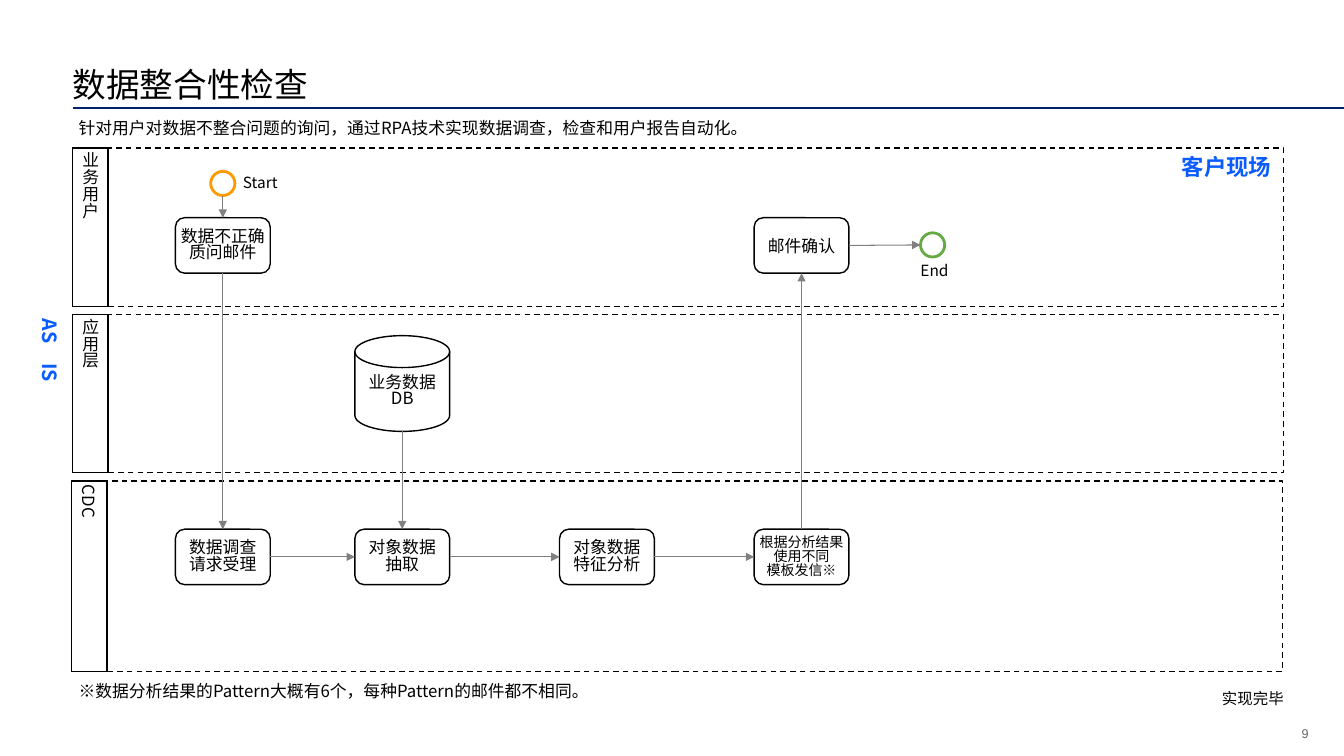
from dataclasses import dataclass

from lxml.etree import SubElement
from pptx import Presentation
from pptx.dml.color import RGBColor
from pptx.enum.dml import MSO_LINE
from pptx.enum.shapes import MSO_CONNECTOR, MSO_SHAPE
from pptx.enum.text import MSO_ANCHOR, PP_ALIGN
from pptx.oxml.ns import qn
from pptx.shapes.autoshape import Shape
from pptx.slide import Slide
from pptx.text.text import TextFrame
from pptx.util import Inches, Pt

BLACK = RGBColor(0x00, 0x00, 0x00)
WHITE = RGBColor(0xFF, 0xFF, 0xFF)
NAVY = RGBColor(0x00, 0x22, 0x66)
BLUE = RGBColor(0x0A, 0x5C, 0xFF)
GRAY = RGBColor(0x80, 0x80, 0x80)
PAGE_GRAY = RGBColor(0x66, 0x66, 0x66)
ORANGE = RGBColor(0xFF, 0x99, 0x00)
GREEN = RGBColor(0x66, 0xAA, 0x44)

FONT_SC = "Noto Sans CJK SC"
FONT_JP = "Noto Sans CJK JP"
LANE_WIDTH, LABEL_WIDTH = 12.01, 0.35
STEP_WIDTH, STEP_HEIGHT = 0.94, 0.55
USER_ROW, CDC_ROW = 2.16, 5.25
SHAPE_INSETS = (0.08, 0.04, 0.08, 0.04)
NOTE_INSETS = (0.08, 0.05, 0.08, 0.05)

Point = tuple[float, float]


@dataclass(frozen=True)
class Style:
    size: float = 12
    color: RGBColor = BLACK
    bold: bool = False
    font: str = FONT_SC
    align: PP_ALIGN = PP_ALIGN.CENTER
    indent: float = 0


@dataclass(frozen=True)
class Lane:
    label: str
    left: float
    top: float
    height: float


@dataclass(frozen=True)
class Node:
    left: float
    top: float
    text: str = ""
    kind: MSO_SHAPE = MSO_SHAPE.ROUNDED_RECTANGLE
    width: float = STEP_WIDTH
    height: float = STEP_HEIGHT
    style: Style = Style()
    line_color: RGBColor = BLACK
    line_width: float = 1

    @property
    def top_mid(self) -> Point:
        return self.left + self.width / 2, self.top

    @property
    def bottom_mid(self) -> Point:
        return self.left + self.width / 2, self.top + self.height

    @property
    def left_mid(self) -> Point:
        return self.left, self.top + self.height / 2

    @property
    def right_mid(self) -> Point:
        return self.left + self.width, self.top + self.height / 2


@dataclass(frozen=True)
class Note:
    text: str
    left: float
    top: float
    width: float
    height: float
    style: Style
    anchor: MSO_ANCHOR = MSO_ANCHOR.TOP
    insets: tuple[float, float, float, float] = NOTE_INSETS


def write(frame: TextFrame, text: str, style: Style, anchor: MSO_ANCHOR,
          insets: tuple[float, float, float, float], wrap: bool) -> None:
    frame.word_wrap = wrap
    frame.vertical_anchor = anchor
    (frame.margin_left, frame.margin_top,
     frame.margin_right, frame.margin_bottom) = map(Inches, insets)
    frame.text = text
    for paragraph in frame.paragraphs:
        paragraph.alignment = style.align
        if len(frame.paragraphs) > 1:
            paragraph.line_spacing = 0.83
        font = paragraph.font
        font.size = Pt(style.size)
        font.bold = style.bold
        font.color.rgb = style.color
        font.name = style.font
        properties = paragraph._p.get_or_add_pPr()
        if style.indent:
            properties.set("marL", str(Inches(style.indent)))
            properties.set("indent", "0")
        # East Asian characters take their own typeface entry
        SubElement(properties.find(qn("a:defRPr")), qn("a:ea"), typeface=style.font)


def add_node(slide: Slide, node: Node) -> Shape:
    shape = slide.shapes.add_shape(
        node.kind, *map(Inches, (node.left, node.top, node.width, node.height)))
    shape.shadow.inherit = False
    shape.fill.solid()
    shape.fill.fore_color.rgb = WHITE
    if node.line_width:
        shape.line.color.rgb = node.line_color
        shape.line.width = Pt(node.line_width)
    else:
        shape.line.fill.background()
    if node.text:
        write(shape.text_frame, node.text, node.style, MSO_ANCHOR.MIDDLE, SHAPE_INSETS, False)
    return shape


def add_vertical_label(slide: Slide, node: Node) -> None:
    label = add_node(slide, node)
    label.text_frame._txBody.bodyPr.set("vert", "eaVert")


def add_lane(slide: Slide, lane: Lane) -> None:
    area = add_node(slide, Node(lane.left, lane.top, kind=MSO_SHAPE.RECTANGLE,
                                width=LANE_WIDTH, height=lane.height))
    area.line.dash_style = MSO_LINE.DASH
    add_vertical_label(slide, Node(lane.left, lane.top, lane.label, MSO_SHAPE.RECTANGLE,
                                   LABEL_WIDTH, lane.height))


def add_line(slide: Slide, start: Point, end: Point, color: RGBColor = GRAY,
             width: float = 0.75, arrow: bool = True) -> None:
    line = slide.shapes.add_connector(MSO_CONNECTOR.STRAIGHT, *map(Inches, start + end))
    line.line.color.rgb = color
    line.line.width = Pt(width)
    if arrow:
        SubElement(line.line._get_or_add_ln(), qn("a:tailEnd"), type="triangle")
    SubElement(line._element.spPr, qn("a:effectLst"))


def add_note(slide: Slide, note: Note) -> None:
    box = slide.shapes.add_textbox(
        *map(Inches, (note.left, note.top, note.width, note.height)))
    write(box.text_frame, note.text, note.style, note.anchor, note.insets, True)


LANES = [
    Lane("业务用户", 0.72, 1.47, 1.57),
    Lane("应用层", 0.72, 3.12, 1.57),
    Lane("CDC", 0.71, 4.77, 1.89),
]

start = Node(2.09, 1.7, "", MSO_SHAPE.OVAL, 0.24, 0.24, line_color=ORANGE, line_width=2)
end = Node(9.13, 2.31, "", MSO_SHAPE.OVAL, 0.24, 0.24, line_color=GREEN, line_width=2)
inquiry = Node(1.74, USER_ROW, "数据不正确\n质问邮件")
confirmation = Node(7.48, USER_ROW, "邮件确认")
database = Node(3.52, 3.33, "业务数据\nDB", MSO_SHAPE.FLOWCHART_MAGNETIC_DISK,
                height=0.95, style=Style(font=FONT_JP))
acceptance = Node(1.74, CDC_ROW, "数据调查\n请求受理")
extraction = Node(3.52, CDC_ROW, "对象数据\n抽取")
analysis = Node(5.55, CDC_ROW, "对象数据\n特征分析")
reply = Node(7.48, CDC_ROW, "根据分析结果\n使用不同\n模板发信※", style=Style(size=10))

NODES = [start, end, inquiry, confirmation, database, acceptance, extraction, analysis, reply]
FLOWS = [
    (start.bottom_mid, inquiry.top_mid),
    (inquiry.bottom_mid, acceptance.top_mid),
    (acceptance.right_mid, extraction.left_mid),
    (database.bottom_mid, extraction.top_mid),
    (extraction.right_mid, analysis.left_mid),
    (analysis.right_mid, reply.left_mid),
    (reply.top_mid, confirmation.bottom_mid),
    (confirmation.right_mid, end.left_mid),
]

BODY = Style(align=PP_ALIGN.LEFT, indent=0.1)
SMALL = Style(11, align=PP_ALIGN.LEFT, indent=0.1)
NOTES = [
    Note("数据整合性检查", 0.72, -0.07, 11.89, 1.1, Style(24, align=PP_ALIGN.LEFT),
         MSO_ANCHOR.BOTTOM, (0, 0.05, 0.1, 0)),
    Note("针对用户对数据不整合问题的询问，通过RPA技术实现数据调查，检查和用户报告自动化。",
         0.6, 0.99, 9.36, 0.55, BODY, MSO_ANCHOR.MIDDLE),
    Note("客户现场", 11.54, 1.47, 2.35, 0.32, Style(16, BLUE, True, align=PP_ALIGN.LEFT, indent=0.1)),
    Note("Start", 2.23, 1.67, 0.63, 0.41, SMALL),
    Note("End", 8.95, 2.54, 0.63, 0.41, SMALL),
    Note("※数据分析结果的Pattern大概有6个，每种Pattern的邮件都不相同。",
         0.6, 6.58, 9.36, 0.55, BODY, MSO_ANCHOR.MIDDLE),
    Note("实现完毕", 11.94, 6.79, 1.24, 0.25, SMALL),
    Note("9", 12.24, 7.19, 0.74, 0.17, Style(9, PAGE_GRAY, font="Arial", align=PP_ALIGN.RIGHT),
         MSO_ANCHOR.MIDDLE, (0.1, 0.05, 0, 0.05)),
]


def main() -> None:
    deck = Presentation()
    deck.slide_width, deck.slide_height = Inches(13.33), Inches(7.5)
    slide = deck.slides.add_slide(deck.slide_layouts[6])
    add_line(slide, (0.72, 1.07), (13.33, 1.07), NAVY, 1, arrow=False)
    for lane in LANES:
        add_lane(slide, lane)
    add_vertical_label(slide, Node(0.32, 3.12, "AS　IS", MSO_SHAPE.RECTANGLE, LABEL_WIDTH, 1.57,
                                   Style(14, BLUE, True), line_width=0))
    for node in NODES:
        add_node(slide, node)
    for origin, target in FLOWS:
        add_line(slide, origin, target)
    for note in NOTES:
        add_note(slide, note)
    deck.save("out.pptx")


if __name__ == "__main__":
    main()
